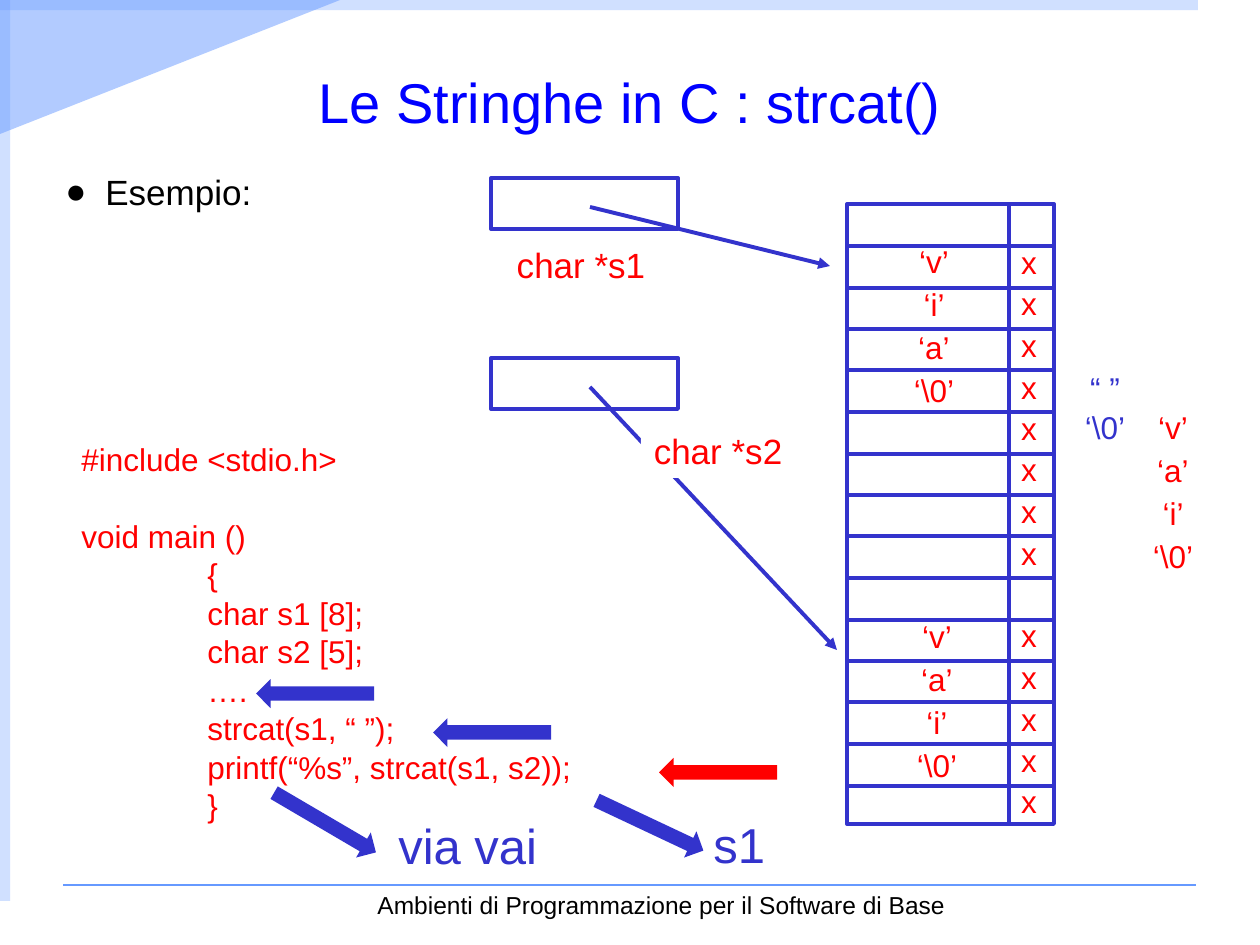
from lxml import etree
from pptx import Presentation
from pptx.dml.color import RGBColor
from pptx.enum.shapes import MSO_CONNECTOR, MSO_SHAPE
from pptx.enum.text import MSO_ANCHOR, MSO_AUTO_SIZE, PP_ALIGN
from pptx.oxml.ns import qn
from pptx.util import Emu, Pt

STRAIGHT = MSO_CONNECTOR.STRAIGHT
RECTANGLE, TRIANGLE, LEFT_ARROW = MSO_SHAPE.RECTANGLE, MSO_SHAPE.RIGHT_TRIANGLE, MSO_SHAPE.LEFT_ARROW
TOP, MIDDLE, BOTTOM = MSO_ANCHOR.TOP, MSO_ANCHOR.MIDDLE, MSO_ANCHOR.BOTTOM
LEFT, CENTER = PP_ALIGN.LEFT, PP_ALIGN.CENTER
FIT_SHAPE = MSO_AUTO_SIZE.SHAPE_TO_FIT_TEXT

WHITE = RGBColor(0xFF, 0xFF, 0xFF)
BLACK = RGBColor(0x00, 0x00, 0x00)
RED = RGBColor(0xFF, 0x00, 0x00)
BLUE = RGBColor(0x00, 0x00, 0xFF)
INDIGO = RGBColor(0x33, 0x33, 0xCC)
SKY = RGBColor(0x66, 0x99, 0xFF)

FONT = "Arial"
PX_PER_INCH = 126
CELL_WIDTHS = {"x": 42, "‘v’": 62, "‘i’": 54, "‘a’": 64, "‘\\0’": 70, "“ ”": 64}
CELL_HEIGHT = 50


def px(count):
    return Emu(round(count * 914400 / PX_PER_INCH))


class SlideBuilder:
    def __init__(self, deck):
        self.slide = deck.slides.add_slide(deck.slide_layouts[5])
        self.shapes = self.slide.shapes

    def set_alpha(self, shape, percent):
        for color in shape.element.spPr.iter(qn("a:srgbClr")):
            etree.SubElement(color, qn("a:alpha"), val=str(percent * 1000))

    def style_text(self, para, size, color, align):
        para.alignment = align
        para.font.name = FONT
        para.font.size = Pt(size)
        para.font.color.rgb = color

    def title(self, text, x, y, width, height):
        box = self.shapes.title
        box.left, box.top, box.width, box.height = map(px, (x, y, width, height))
        box.text_frame.text = text
        box.text_frame.vertical_anchor = MIDDLE
        self.style_text(box.text_frame.paragraphs[0], 32, BLUE, CENTER)

    def text(self, words, x, y, width, height, size, color, align=LEFT, anchor=TOP, wrap=False, fill=None):
        box = self.shapes.add_textbox(px(x), px(y), px(width), px(height))
        if fill is not None:
            box.fill.solid()
            box.fill.fore_color.rgb = fill
        frame = box.text_frame
        frame.text = words
        frame.word_wrap = wrap
        frame.auto_size = FIT_SHAPE
        frame.vertical_anchor = anchor
        for para in frame.paragraphs:
            self.style_text(para, size, color, align)
        return box

    def bullet(self, words, x, y, width, height):
        box = self.text(words, x, y, width, height, 20, BLACK, anchor=MIDDLE)
        para = box.text_frame.paragraphs[0]
        para.space_before = para.space_after = Pt(3)
        indent = px(40)
        properties = para._p.get_or_add_pPr()
        properties.set("marL", str(indent))
        properties.set("indent", str(-indent))
        etree.SubElement(properties, qn("a:buFont"), typeface=FONT)
        etree.SubElement(properties, qn("a:buChar"), char="●")

    def code(self, outer_lines, inner_lines, x, y, width, height):
        box = self.text("\n".join(outer_lines + inner_lines), x, y, width, height, 18, RED, wrap=True)
        box.line.color.rgb = WHITE
        box.line.width = Pt(2.25)
        paras = box.text_frame.paragraphs
        for para in paras:
            para.line_spacing = Pt(22)
        paras[1].space_before = Pt(22)
        for para in paras[len(outer_lines):]:
            para._p.get_or_add_pPr().set("marL", str(px(PX_PER_INCH)))

    def column(self, words, center, middle, pitch, color=RED, fill=None):
        for row, word in enumerate(words):
            if word:
                width = CELL_WIDTHS[word]
                top = round(middle + row * pitch - CELL_HEIGHT / 2)
                self.text(word, center - width // 2, top, width, CELL_HEIGHT, 18, color, CENTER, MIDDLE, fill=fill)

    def solid(self, kind, x, y, width, height, color, rotation=0):
        shape = self.shapes.add_shape(kind, px(x), px(y), px(width), px(height))
        shape.shadow.inherit = False
        shape.fill.solid()
        shape.fill.fore_color.rgb = color
        shape.line.fill.background()
        shape.rotation = rotation
        return shape

    def frame(self, x, y, width, height):
        shape = self.shapes.add_shape(RECTANGLE, px(x), px(y), px(width), px(height))
        shape.shadow.inherit = False
        shape.fill.background()
        shape.line.color.rgb = INDIGO
        shape.line.width = Pt(2.25)

    def line(self, x1, y1, x2, y2, color=INDIGO, weight=2.25, arrow=False):
        connector = self.shapes.add_connector(STRAIGHT, px(x1), px(y1), px(x2), px(y2))
        connector.line.color.rgb = color
        connector.line.width = Pt(weight)
        properties = connector.element.spPr
        if arrow:
            etree.SubElement(properties.find(qn("a:ln")), qn("a:tailEnd"), type="triangle")
        etree.SubElement(properties, qn("a:effectLst"))
        return connector


def draw_background(page):
    for ends in ((-4, 5, 1198, 5), (5, 901, 5, -3)):
        page.set_alpha(page.line(*ends, color=SKY, weight=6), 30)
    page.set_alpha(page.solid(TRIANGLE, 103, -103, 134, 340, SKY, 90), 50)
    page.line(63, 885, 1196, 885, SKY, 0.75)
    page.text("Ambienti di Programmazione per il Software di Base",
              272, 860, 779, 66, 14, BLACK, CENTER, BOTTOM, wrap=True)


def draw_program(page):
    page.code(["#include <stdio.h>", "void main ()"],
              ["{", "char s1 [8];", "char s2 [5];", "….", "strcat(s1, “ ”);",
               "printf(“%s”, strcat(s1, s2));", "}"],
              69, 433, 627, 398)
    for x, y, color, rotation in ((256, 679, INDIGO, 0), (433, 718, INDIGO, 0), (659, 758, RED, 0),
                                  (266, 808, INDIGO, 210.4), (591, 811, INDIGO, 205.2)):
        page.solid(LEFT_ARROW, x, y, 118, 29, color, rotation)
    page.text("via vai", 386, 809, 164, 72, 28, INDIGO)
    page.text("s1", 701, 808, 77, 72, 28, INDIGO)


def draw_memory(page):
    left, top, width, height = 847, 204, 207, 620
    row_pitch = 41.5
    page.frame(left, top, width, height)
    for row in range(14):
        y = round(246 + row * row_pitch)
        page.line(left, y, left + width, y)
    page.line(1009, top, 1009, top + height)
    page.column(["x"] * 8 + [""] + ["x"] * 5, 1029, 262, row_pitch)

    letter_pitch = 43
    reversed_word = ["‘v’", "‘a’", "‘i’", "‘\\0’"]
    page.column(["‘v’", "‘i’", "‘a’", "‘\\0’"], 934, 261, letter_pitch)
    page.column(reversed_word, 937, 636, letter_pitch)
    page.column(["“ ”", "‘\\0’"], 1105, 388, 39, INDIGO, WHITE)
    page.column(reversed_word, 1173, 427, letter_pitch, fill=WHITE)


def draw_pointers(page):
    for y, tip_x, tip_y in ((178, 830, 266), (358, 837, 650)):
        page.frame(491, y, 187, 51)
        page.line(590, y + 29, tip_x, tip_y, arrow=True)
    for words, x, y, fill in (("char *s1 ", 504, 237, None), ("char *s2 ", 641, 423, WHITE)):
        page.text(words, x, y, 164, 55, 20, RED, CENTER, MIDDLE, fill=fill)


def main():
    deck = Presentation()
    deck.slide_width, deck.slide_height = px(1260), px(945)
    page = SlideBuilder(deck)
    draw_background(page)
    page.title("Le Stringhe in C : strcat()", 0, 40, 1260, 123)
    page.bullet("Esempio:", 53, 164, 291, 55)
    draw_program(page)
    draw_memory(page)
    draw_pointers(page)
    deck.save("out.pptx")


if __name__ == "__main__":
    main()
